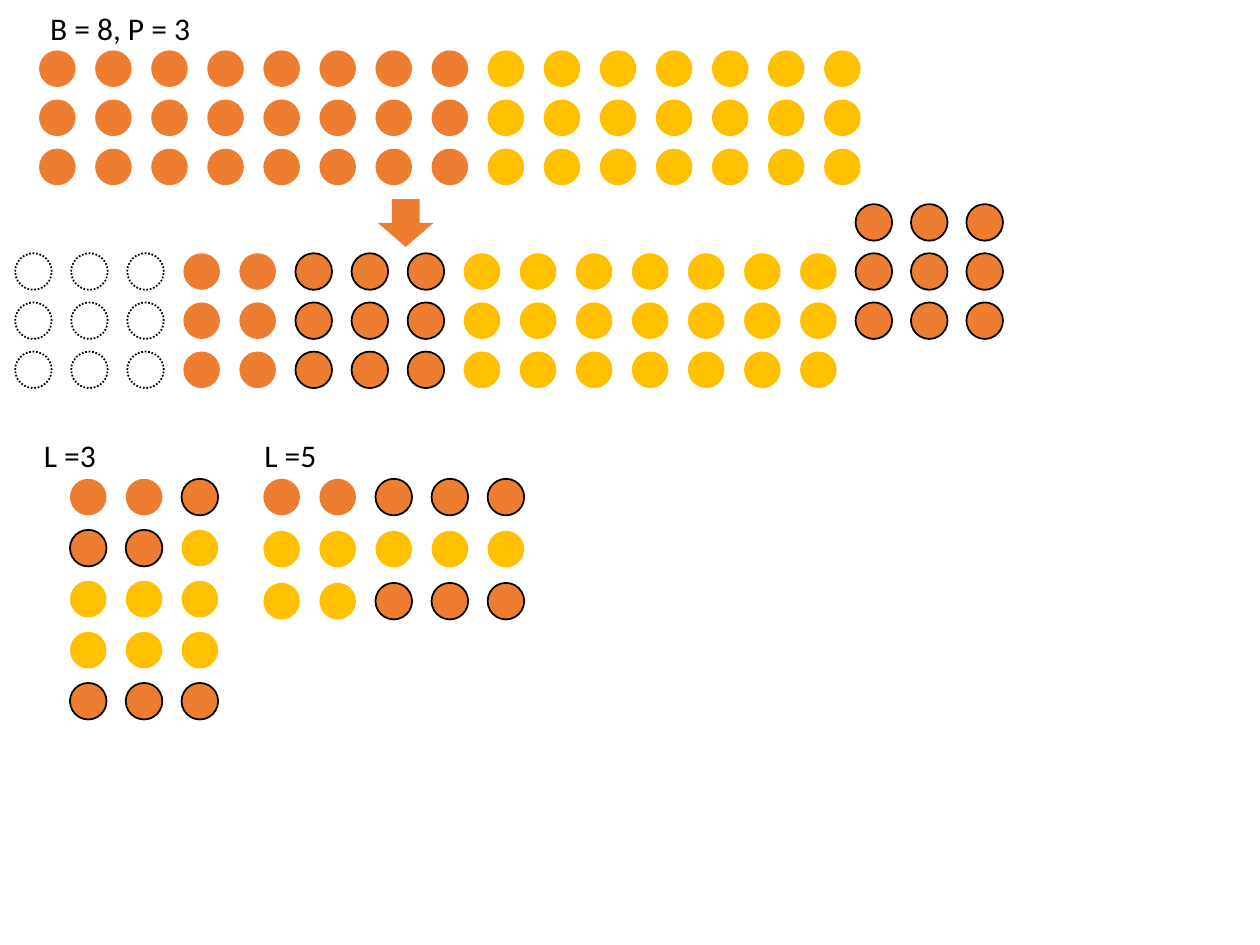
import dataclasses

import pptx
import pptx.dml.color
import pptx.enum.dml
import pptx.enum.shapes
import pptx.enum.text
import pptx.util

# The slide is a grid of 100 columns by 75 rows
COLUMNS, ROWS = 100, 75
CELL = pptx.util.Inches(0.1)
DIAMETER = 2.9

ORANGE, YELLOW, WHITE, BLACK = "ED7D31", "FFC000", "FFFFFF", "000000"


@dataclasses.dataclass(frozen=True)
class DotStyle:
    fill: str
    line: str | None = None
    dash: pptx.enum.dml.MSO_LINE | None = None


@dataclasses.dataclass(frozen=True)
class DotGrid:
    left: float
    top: float
    column_step: float
    row_step: float
    pattern: tuple[str, ...]


@dataclasses.dataclass(frozen=True)
class Label:
    text: str
    left: float
    top: float
    width: float


# Pattern letters: O orange, R ringed orange, Y yellow, E empty place
DOT_STYLES = {
    "O": DotStyle(ORANGE),
    "R": DotStyle(ORANGE, BLACK),
    "Y": DotStyle(YELLOW),
    "E": DotStyle(WHITE, BLACK, pptx.enum.dml.MSO_LINE.ROUND_DOT),
}

DOT_GRIDS = (
    # Full buffer, then the shifted buffer and the block beside it
    DotGrid(3.1, 4, 4.45, 3.9, ("O" * 8 + "Y" * 7,) * 3),
    DotGrid(1.2, 20.1, 4.45, 3.9, ("EEEOORRR" + "Y" * 7,) * 3),
    DotGrid(67.9, 16.2, 4.4, 3.9, ("RRR",) * 3),
    # Regrouped by length 3 and by length 5
    DotGrid(5.55, 38, 4.43, 4.05, ("OOR", "RRY", "YYY", "YYY", "RRR")),
    DotGrid(20.9, 38, 4.45, 4.13, ("OORRR", "YYYYY", "YYRRR")),
)

LABELS = (
    Label("B = 8, P = 3", 3, 0.2, 34.6),
    Label("L =3", 2.5, 34.1, 7.1),
    Label("L =5", 20, 34.1, 7.1),
)


def cells(count: float) -> int:
    return round(count * CELL)


def color(value: str) -> pptx.dml.color.RGBColor:
    return pptx.dml.color.RGBColor.from_string(value)


def add_filled_shape(slide, kind, left: float, top: float, width: float,
                     height: float, style: DotStyle) -> None:
    shape = slide.shapes.add_shape(
        kind, cells(left), cells(top), cells(width), cells(height))
    shape.shadow.inherit = False
    shape.fill.solid()
    shape.fill.fore_color.rgb = color(style.fill)
    if style.line is None:
        shape.line.fill.background()
        return
    shape.line.color.rgb = color(style.line)
    shape.line.width = pptx.util.Pt(1)
    if style.dash is not None:
        shape.line.dash_style = style.dash


def add_dot_grid(slide, grid: DotGrid) -> None:
    for row, letters in enumerate(grid.pattern):
        for column, letter in enumerate(letters):
            add_filled_shape(
                slide, pptx.enum.shapes.MSO_SHAPE.OVAL,
                grid.left + column * grid.column_step,
                grid.top + row * grid.row_step,
                DIAMETER, DIAMETER, DOT_STYLES[letter])


def write_text(frame, text: str, *, size: float = 18, font: str = "Calibri",
               font_color: str = BLACK) -> None:
    run = frame.paragraphs[0].add_run()
    run.text = text
    run.font.size = pptx.util.Pt(size)
    run.font.name = font
    run.font.color.rgb = color(font_color)


def add_label(slide, label: Label) -> None:
    shape = slide.shapes.add_textbox(
        cells(label.left), cells(label.top), cells(label.width), cells(4))
    frame = shape.text_frame
    frame.word_wrap = True
    frame.auto_size = pptx.enum.text.MSO_AUTO_SIZE.SHAPE_TO_FIT_TEXT
    write_text(frame, label.text)


def main() -> None:
    presentation = pptx.Presentation()
    presentation.slide_width = cells(COLUMNS)
    presentation.slide_height = cells(ROWS)
    slide = presentation.slides.add_slide(presentation.slide_layouts[6])

    for grid in DOT_GRIDS:
        add_dot_grid(slide, grid)

    # Step from the full buffer to the shifted one
    add_filled_shape(slide, pptx.enum.shapes.MSO_SHAPE.DOWN_ARROW,
                     30, 15.8, 4.4, 3.8, DotStyle(ORANGE))

    for label in LABELS:
        add_label(slide, label)

    presentation.save("out.pptx")


if __name__ == "__main__":
    main()
